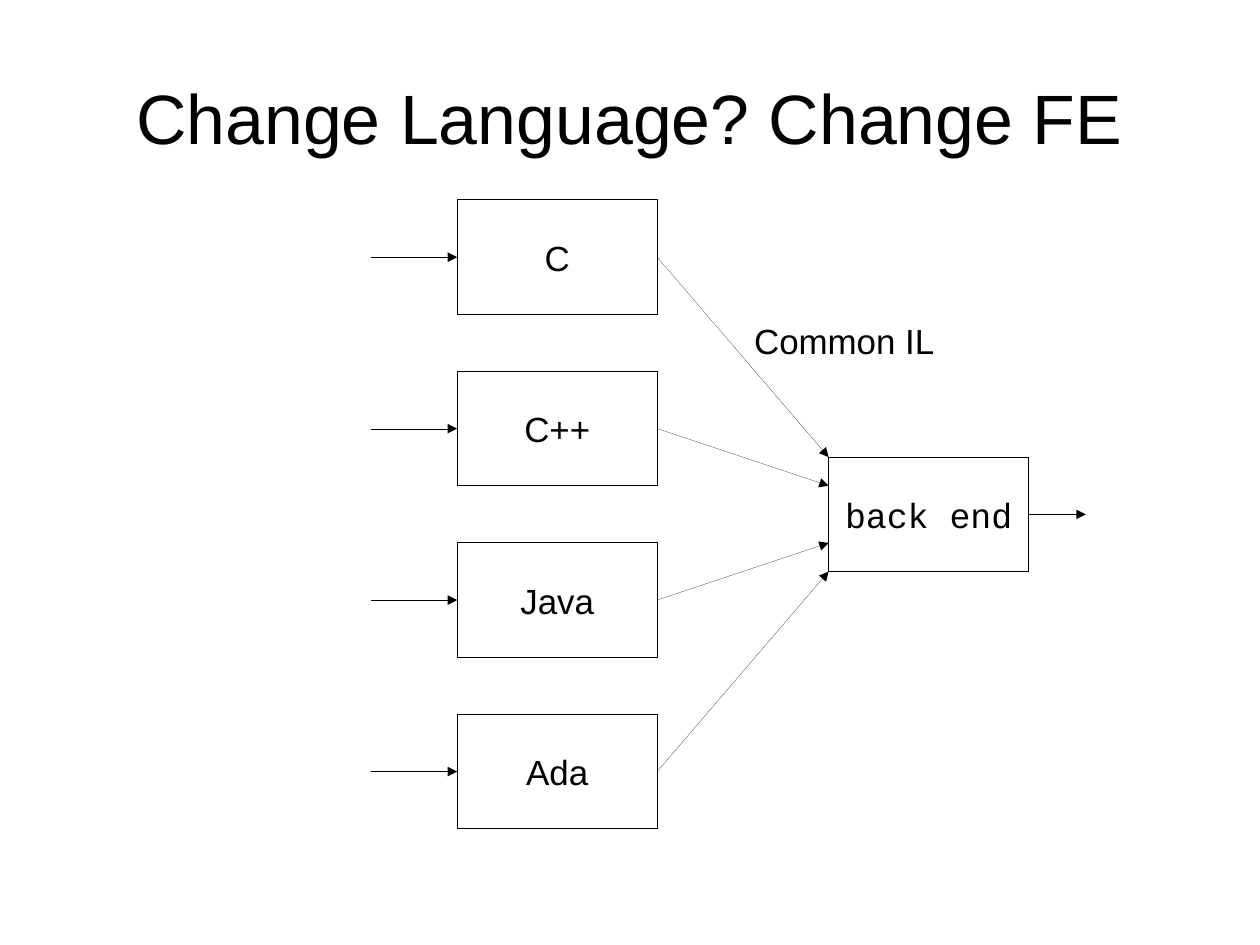
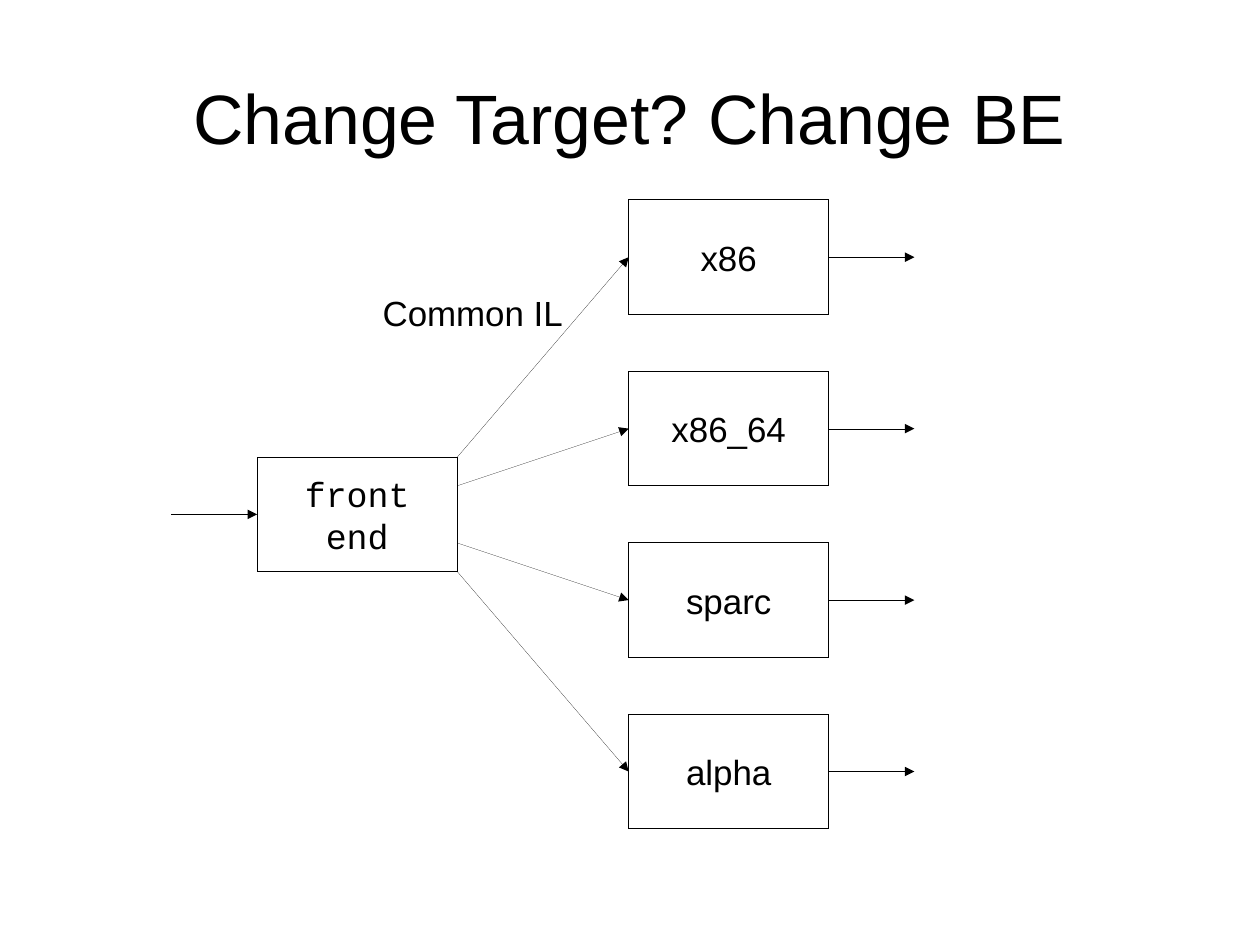
from lxml.etree import SubElement
from pptx import Presentation
from pptx.dml.color import RGBColor
from pptx.enum.shapes import MSO_CONNECTOR, MSO_SHAPE
from pptx.enum.text import MSO_ANCHOR, MSO_AUTO_SIZE, PP_ALIGN
from pptx.oxml.ns import qn
from pptx.util import Inches, Pt

BLACK = RGBColor(0x00, 0x00, 0x00)
WHITE = RGBColor(0xFF, 0xFF, 0xFF)
BODY_FONT = "Arial"
CODE_FONT = "Courier New"
HAIRLINE = Pt(0.01)

CM_PER_INCH = 2.54
SLIDE_WIDTH, SLIDE_HEIGHT = 28 / CM_PER_INCH, 21 / CM_PER_INCH

BOX_WIDTH, BOX_HEIGHT = 1.75, 1
FIRST_BRANCH_TOP, BRANCH_PITCH = 1.75, 1.5
HUB_TOP = 4
HUB_PORTS = (0, 0.25, 0.75, 1)
HUB_MIDDLE = HUB_TOP + BOX_HEIGHT / 2

DIAGRAMS = [
    {
        "title": "Change Language? Change FE",
        "hub": "back end", "hub_left": 7.25,
        "branches": ("C", "C++", "Java", "Ada"), "branch_left": 4,
        "label_at": (6.5, 2.75), "fans_in": True,
    },
    {
        "title": "Change Target? Change BE",
        "hub": "front end", "hub_left": 2.25,
        "branches": ("x86", "x86_64", "sparc", "alpha"), "branch_left": 5.5,
        "label_at": (3.25, 2.5), "fans_in": False,
    },
]


def write_text(shape, text, size=22, font=BODY_FONT, align=PP_ALIGN.CENTER,
               anchor=MSO_ANCHOR.MIDDLE, margins=(0.1, 0.05), wrap=True,
               auto_size=MSO_AUTO_SIZE.NONE):
    frame = shape.text_frame
    frame.word_wrap = wrap
    frame.auto_size = auto_size
    frame.vertical_anchor = anchor
    frame.margin_left = frame.margin_right = Inches(margins[0])
    frame.margin_top = frame.margin_bottom = Inches(margins[1])
    paragraph = frame.paragraphs[0]
    paragraph.alignment = align
    run = paragraph.add_run()
    run.text = text
    run.font.size = Pt(size)
    run.font.name = font
    run.font.color.rgb = BLACK


def add_arrow(slide, start, end, source=None, target=None):
    """Draw a rightward arrow, joined to source's right and target's left side."""
    arrow = slide.shapes.add_connector(
        MSO_CONNECTOR.STRAIGHT, *map(Inches, start), *map(Inches, end))
    if source is not None:
        arrow.begin_connect(source, 3)
    if target is not None:
        arrow.end_connect(target, 1)
    arrow.line.color.rgb = BLACK
    arrow.line.width = HAIRLINE
    properties = arrow.element.spPr
    SubElement(properties.find(qn("a:ln")), qn("a:tailEnd"), type="triangle")
    SubElement(properties, qn("a:effectLst"))


presentation = Presentation()
presentation.slide_width = Inches(SLIDE_WIDTH)
presentation.slide_height = Inches(SLIDE_HEIGHT)
title_layout = presentation.slide_layouts[5]

for diagram in DIAGRAMS:
    slide = presentation.slides.add_slide(title_layout)
    title = slide.shapes.title
    title.left, title.top = Inches(0.55), Inches(0.38)
    title.width, title.height = Inches(9.92), Inches(1.28)
    write_text(title, diagram["title"], size=44, margins=(0, 0),
               auto_size=MSO_AUTO_SIZE.SHAPE_TO_FIT_TEXT)

    hub_left, branch_left = diagram["hub_left"], diagram["branch_left"]
    boxes = [(diagram["hub"], hub_left, HUB_TOP, CODE_FONT)]
    for index, name in enumerate(diagram["branches"]):
        top = FIRST_BRANCH_TOP + index * BRANCH_PITCH
        boxes.append((name, branch_left, top, BODY_FONT))

    box_shapes = []
    for text, left, top, font in boxes:
        box = slide.shapes.add_shape(
            MSO_SHAPE.RECTANGLE, Inches(left), Inches(top),
            Inches(BOX_WIDTH), Inches(BOX_HEIGHT))
        box.shadow.inherit = False
        box.fill.solid()
        box.fill.fore_color.rgb = WHITE
        box.line.color.rgb = BLACK
        box.line.width = HAIRLINE
        write_text(box, text, font=font)
        box_shapes.append(box)
    hub, *branches = box_shapes

    hub_right, branch_right = hub_left + BOX_WIDTH, branch_left + BOX_WIDTH
    for index, (branch, port) in enumerate(zip(branches, HUB_PORTS)):
        middle = FIRST_BRANCH_TOP + index * BRANCH_PITCH + BOX_HEIGHT / 2
        port_y = HUB_TOP + port * BOX_HEIGHT
        if diagram["fans_in"]:
            add_arrow(slide, (branch_left - 0.75, middle), (branch_left, middle),
                      target=branch)
            add_arrow(slide, (branch_right, middle), (hub_left, port_y),
                      source=branch)
        else:
            add_arrow(slide, (hub_right, port_y), (branch_left, middle),
                      target=branch)
            add_arrow(slide, (branch_right, middle), (branch_right + 0.75, middle),
                      source=branch)
    if diagram["fans_in"]:
        add_arrow(slide, (hub_right, HUB_MIDDLE), (hub_right + 0.5, HUB_MIDDLE),
                  source=hub)
    else:
        add_arrow(slide, (hub_left - 0.75, HUB_MIDDLE), (hub_left, HUB_MIDDLE),
                  target=hub)

    label = slide.shapes.add_textbox(
        *map(Inches, diagram["label_at"]), Inches(1.8), Inches(0.44))
    write_text(label, "Common IL", align=PP_ALIGN.LEFT, anchor=MSO_ANCHOR.TOP,
               wrap=False, auto_size=MSO_AUTO_SIZE.SHAPE_TO_FIT_TEXT)

presentation.save("out.pptx")
